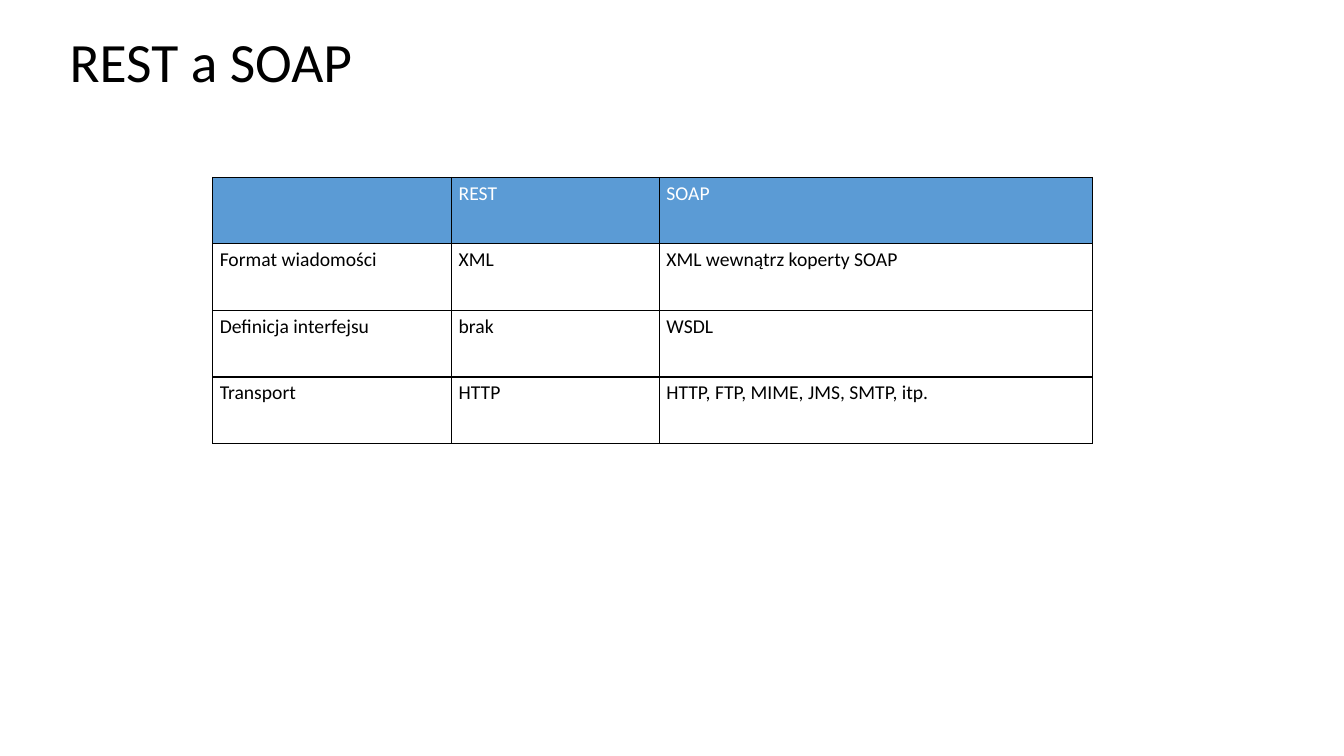
from dataclasses import dataclass

from lxml import etree
from pptx import Presentation
from pptx.dml.color import RGBColor
from pptx.enum import text
from pptx.oxml import ns
from pptx.util import Inches, Pt

FONT = "Calibri"
BLACK, WHITE, BLUE = "000000", "FFFFFF", "5B9BD5"
COLUMN_WIDTHS = (2.37, 2.06, 4.3)
ROW_HEIGHT = 0.66


@dataclass(frozen=True)
class ComparisonRow:
    feature: str
    rest: str
    soap: str
    fill: str = WHITE
    ink: str = BLACK


COMPARISON = (
    ComparisonRow("", "REST", "SOAP", BLUE, WHITE),
    ComparisonRow("Format wiadomości", "XML", "XML wewnątrz koperty SOAP"),
    ComparisonRow("Definicja interfejsu", "brak", "WSDL"),
    ComparisonRow("Transport", "HTTP", "HTTP, FTP, MIME, JMS, SMTP, itp."),
)


def colour(value: str) -> RGBColor:
    return RGBColor.from_string(value)


def write(paragraph, wording: str, size: float, ink: str) -> None:
    paragraph.alignment = text.PP_ALIGN.LEFT
    run = paragraph.add_run()
    run.text = wording
    run.font.name = FONT
    run.font.size = Pt(size)
    run.font.bold = False
    run.font.color.rgb = colour(ink)


def add_borders(cell) -> None:
    properties = cell._tc.get_or_add_tcPr()
    for position, side in enumerate(("lnL", "lnR", "lnT", "lnB")):
        border = etree.Element(ns.qn(f"a:{side}"), w=str(Pt(1)))
        fill = etree.SubElement(border, ns.qn("a:solidFill"))
        etree.SubElement(fill, ns.qn("a:srgbClr"), val=BLACK)
        properties.insert(position, border)


def format_cell(cell, wording: str, row: ComparisonRow) -> None:
    cell.margin_left = cell.margin_right = Inches(0.07)
    cell.margin_top = cell.margin_bottom = Inches(0.04)
    cell.fill.solid()
    cell.fill.fore_color.rgb = colour(row.fill)
    add_borders(cell)
    if wording:
        write(cell.text_frame.paragraphs[0], wording, 14, row.ink)


def add_title(slide) -> None:
    title = slide.shapes.title
    title.left, title.top = Inches(0.59), Inches(0.38)
    title.width, title.height = Inches(12.19), Inches(0.53)
    frame = title.text_frame
    frame.auto_size = text.MSO_AUTO_SIZE.NONE
    frame.vertical_anchor = text.MSO_ANCHOR.MIDDLE
    heading = frame.paragraphs[0]
    heading.line_spacing = 0.9
    heading.space_before = Pt(0)
    write(heading, "REST a SOAP", 39.6, BLACK)


def add_comparison(slide) -> None:
    table = slide.shapes.add_table(
        len(COMPARISON), len(COLUMN_WIDTHS), Inches(2.11), Inches(1.76),
        Inches(sum(COLUMN_WIDTHS)), Inches(ROW_HEIGHT * len(COMPARISON)),
    ).table
    table.horz_banding = False
    for column, width in zip(table.columns, COLUMN_WIDTHS):
        column.width = Inches(width)
    for table_row, row in zip(table.rows, COMPARISON):
        table_row.height = Inches(ROW_HEIGHT)
        for cell, wording in zip(table_row.cells, (row.feature, row.rest, row.soap)):
            format_cell(cell, wording, row)


def main() -> None:
    presentation = Presentation()
    presentation.slide_width = Inches(13.33)
    presentation.slide_height = Inches(7.5)
    slide = presentation.slides.add_slide(presentation.slide_layouts[5])
    add_title(slide)
    add_comparison(slide)
    presentation.save("out.pptx")


if __name__ == "__main__":
    main()
